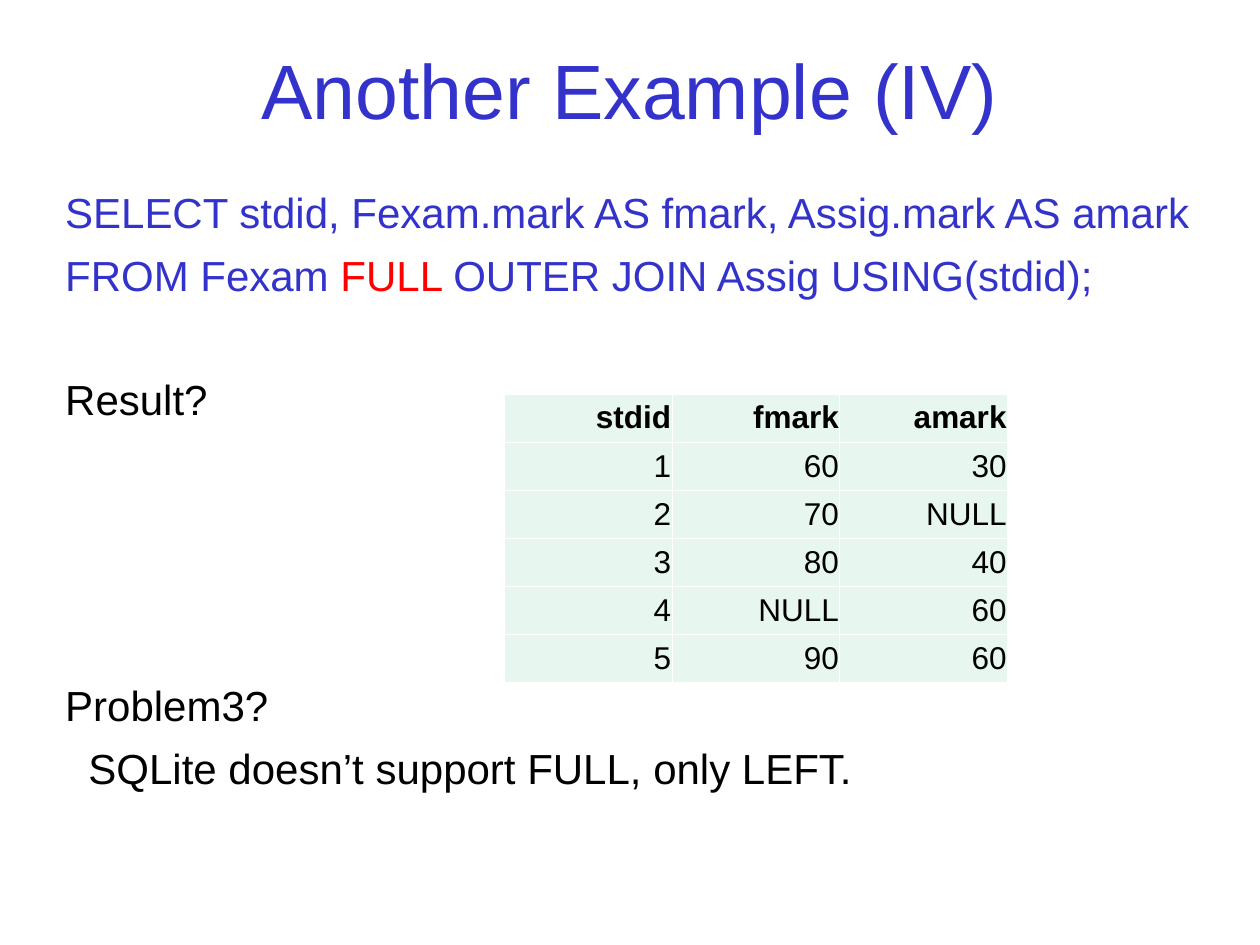
from lxml.etree import SubElement
from pptx import Presentation
from pptx.dml.color import RGBColor
from pptx.enum.text import MSO_ANCHOR as Anchor, MSO_AUTO_SIZE as AutoSize, PP_ALIGN as Align
from pptx.oxml.ns import qn
from pptx.util import Cm, Pt

BLUE = RGBColor(0x33, 0x33, 0xCC)
RED = RGBColor(0xFF, 0x00, 0x00)
BLACK = RGBColor(0x00, 0x00, 0x00)
WHITE = RGBColor(0xFF, 0xFF, 0xFF)
MINT = RGBColor(0xE7, 0xF6, 0xEF)

LINE_GAP = 7.2   # points between paragraphs
LINE_STEP = 34.8  # points from one body line to the next


def add_run(p, text, *, size, color=BLACK, bold=False, font="Arial"):
    r = p.add_run()
    r.text = text
    r.font.name = font
    r.font.size = Pt(size)
    r.font.bold = bold
    r.font.color.rgb = color


def set_borders(cell, color, width):
    tcPr = cell._tc.get_or_add_tcPr()
    for i, side in enumerate(("lnL", "lnR", "lnT", "lnB")):
        ln = SubElement(tcPr, qn(f"a:{side}"), w=str(Pt(width)))
        fill = SubElement(ln, qn("a:solidFill"))
        SubElement(fill, qn("a:srgbClr"), val=str(color))
        tcPr.remove(ln)
        tcPr.insert(i, ln)  # borders come before the fill


class SlideBuilder:
    def __init__(self, prs):
        self.slide = prs.slides.add_slide(prs.slide_layouts[1])
        self.title_size, self.body_size, self.table_size = 44, 24, 18

    def place(self, sp, left, top, width, height):
        sp.left, sp.top, sp.width, sp.height = map(Cm, (left, top, width, height))
        tf = sp.text_frame
        tf.word_wrap = True
        tf.auto_size = AutoSize.NONE
        return tf

    def title(self, text, *box):
        tf = self.place(self.slide.shapes.title, *box)
        tf.vertical_anchor = Anchor.MIDDLE
        p = tf.paragraphs[0]
        p.alignment = Align.CENTER
        add_run(p, text, size=self.title_size, color=BLUE)

    def body(self, lines, *box):
        """Each line is (runs, lines skipped above, left indent in cm)."""
        tf = self.place(self.slide.placeholders[1], *box)
        tf.vertical_anchor = Anchor.TOP
        for i, (runs, skipped, indent) in enumerate(lines):
            p = tf.add_paragraph() if i else tf.paragraphs[0]
            p.space_before = Pt(LINE_GAP + skipped * LINE_STEP)
            pPr = p._p.get_or_add_pPr()
            pPr.set("marL", str(Cm(indent)))
            pPr.set("indent", "0")
            SubElement(pPr, qn("a:buNone"))
            for text, color in runs:
                add_run(p, text, size=self.body_size, color=color)

    def table(self, rows, left, top, col_width, row_height):
        n_rows, n_cols = len(rows), len(rows[0])
        table = self.slide.shapes.add_table(
            n_rows, n_cols, Cm(left), Cm(top),
            Cm(col_width * n_cols), Cm(row_height * n_rows)).table
        table.horz_banding = False
        for i, row in enumerate(rows):
            for j, value in enumerate(row):
                self.cell(table.cell(i, j), value, bold=i == 0)

    def cell(self, cell, value, bold):
        cell.fill.solid()
        cell.fill.fore_color.rgb = MINT
        cell.vertical_anchor = Anchor.BOTTOM
        cell.margin_left = cell.margin_right = Cm(0.02)
        set_borders(cell, WHITE, 0.45)
        p = cell.text_frame.paragraphs[0]
        p.alignment = Align.RIGHT
        add_run(p, value, size=self.table_size, bold=bold)


def main():
    prs = Presentation()
    prs.slide_width, prs.slide_height = Cm(25.4), Cm(19.05)
    s = SlideBuilder(prs)
    s.title("Another Example (IV)", 1.9, 0.84, 21.6, 1.9)
    s.body([
        ([("SELECT stdid, Fexam.mark AS fmark, Assig.mark AS amark", BLUE)], 0, 0),
        ([("FROM Fexam ", BLUE), ("FULL ", RED),
          ("OUTER JOIN Assig USING(stdid);", BLUE)], 0, 0),
        ([("Result?", BLACK)], 1, 0),
        ([("Problem3?", BLACK)], 4, 0),
        ([("SQLite doesn’t support FULL, only LEFT.", BLACK)], 0, 0.47),
    ], 1.06, 3.63, 23.85, 13.97)
    s.table([
        ("stdid", "fmark", "amark"),
        ("1", "60", "30"),
        ("2", "70", "NULL"),
        ("3", "80", "40"),
        ("4", "NULL", "60"),
        ("5", "90", "60"),
    ], 10.17, 7.94, 3.38, 0.97)
    prs.save("out.pptx")


if __name__ == "__main__":
    main()
